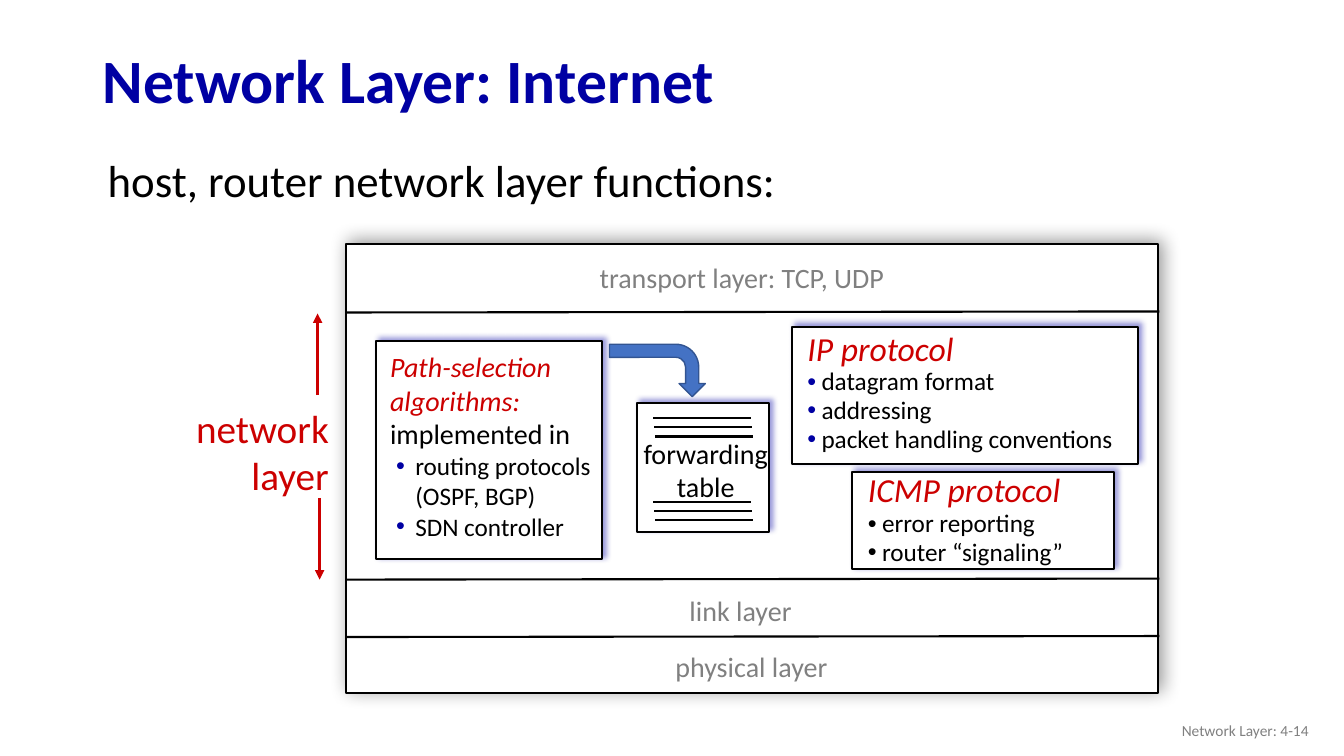
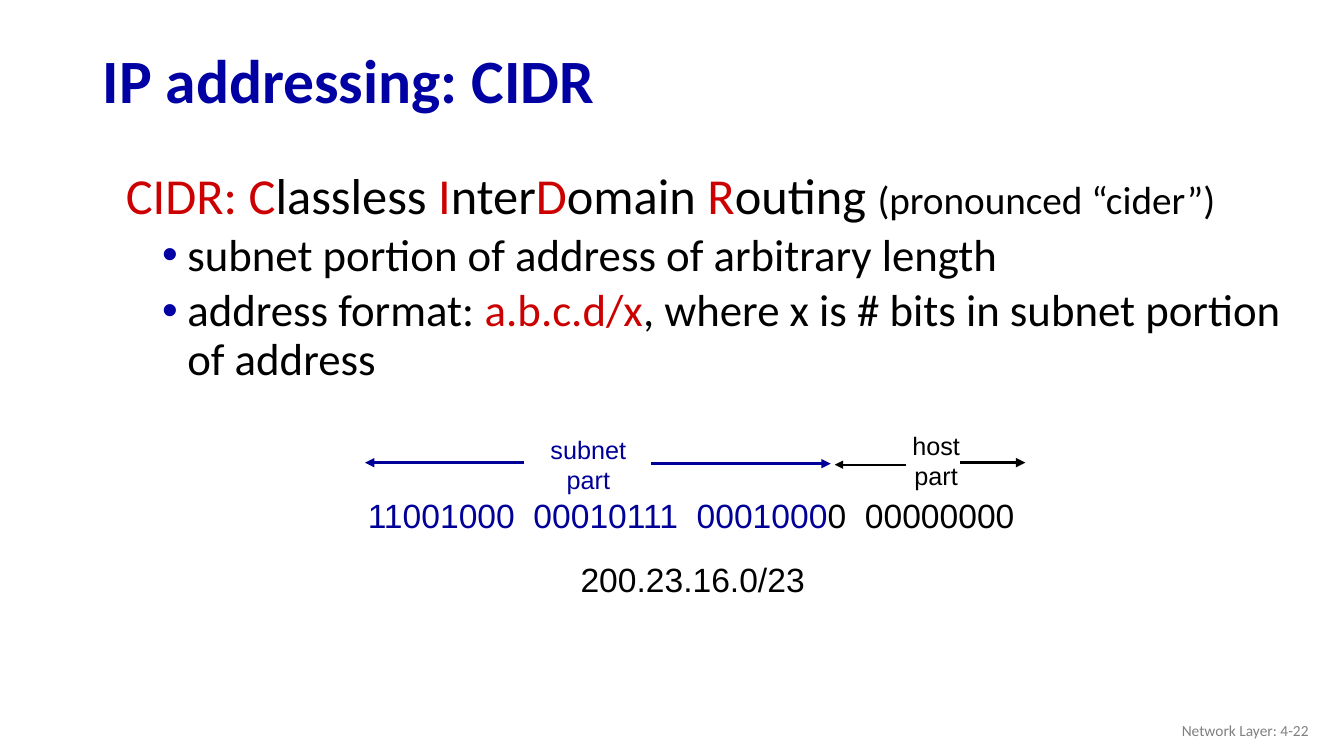
"""Build two slides on the Internet network layer and CIDR addressing."""
import collections

import lxml.etree
import pptx
import pptx.dml.color
import pptx.enum.shapes
import pptx.enum.text
import pptx.oxml.ns
import pptx.util

Inches = pptx.util.Inches
Pt = pptx.util.Pt
RGBColor = pptx.dml.color.RGBColor
Align = pptx.enum.text.PP_ALIGN
Anchor = pptx.enum.text.MSO_ANCHOR
Preset = pptx.enum.shapes.MSO_SHAPE
qn = pptx.oxml.ns.qn

BLACK = RGBColor(0x00, 0x00, 0x00)
WHITE = RGBColor(0xFF, 0xFF, 0xFF)
GRAY = RGBColor(0x80, 0x80, 0x80)
RED = RGBColor(0xCC, 0x00, 0x00)
NAVY = RGBColor(0x00, 0x00, 0xA3)
ADDRESS_BLUE = RGBColor(0x00, 0x00, 0x99)
ARROW_FILL = RGBColor(0x44, 0x72, 0xC4)
ARROW_EDGE = RGBColor(0x32, 0x54, 0x91)

Run = collections.namedtuple("Run", "text size color italic", defaults=(BLACK, False))
Paragraph = collections.namedtuple(
    "Paragraph", "runs align spacing before left hanging bullet",
    defaults=(Align.LEFT, None, None, 0, 0, None))


def add_xml(parent, tag, **attributes):
    return lxml.etree.SubElement(parent, qn(tag), attributes)


class Deck:
    font = "Calibri"

    def __init__(self):
        self.presentation = pptx.Presentation()
        self.presentation.slide_width = Inches(13.33)
        self.presentation.slide_height = Inches(7.5)
        self.slide = None

    def new_slide(self, title, number):
        self.slide = self.presentation.slides.add_slide(self.presentation.slide_layouts[6])
        heading = self.text(0.92, 0.34, 11.5, 0.98,
                            [Paragraph([Run(title, 44, NAVY)], spacing=0.9)], anchor=Anchor.MIDDLE)
        heading.text_frame.paragraphs[0].runs[0].font.bold = True
        self.text(10.08, 7.05, 3, 0.4,
                  [Paragraph([Run(f"Network Layer: {number}", 11, GRAY)], Align.RIGHT)],
                  anchor=Anchor.MIDDLE)

    def text(self, left, top, width, height, paragraphs, wrap=True, anchor=Anchor.TOP, font=None):
        shape = self.slide.shapes.add_textbox(
            Inches(left), Inches(top), Inches(width), Inches(height))
        frame = shape.text_frame
        frame.word_wrap = wrap
        frame.vertical_anchor = anchor
        for index, content in enumerate(paragraphs):
            paragraph = frame.add_paragraph() if index else frame.paragraphs[0]
            self.fill_paragraph(paragraph, content, font or self.font)
        return shape

    def fill_paragraph(self, paragraph, content, font):
        paragraph.alignment = content.align
        if content.spacing:
            paragraph.line_spacing = content.spacing
        if content.before:
            paragraph.space_before = Pt(content.before)
        properties = paragraph._p.get_or_add_pPr()
        properties.set("marL", str(Inches(content.left)))
        properties.set("indent", str(-Inches(content.hanging)))
        if content.bullet is not None:
            color = add_xml(properties, "a:buClr")
            add_xml(color, "a:srgbClr", val=str(content.bullet))
            add_xml(properties, "a:buFont", typeface="Arial")
            add_xml(properties, "a:buChar", char="•")
        for piece in content.runs:
            run = paragraph.add_run()
            run.text = piece.text
            run.font.name = font
            run.font.size = Pt(piece.size)
            run.font.color.rgb = piece.color
            run.font.italic = piece.italic

    def label(self, left, top, width, height, lines, size, color, align=Align.LEFT, font=None):
        paragraphs = [Paragraph([Run(line, size, color)], align) for line in lines]
        self.text(left, top, width, height, paragraphs, wrap=False, font=font)

    def shape(self, preset, left, top, width, height, fill, edge, weight):
        shape = self.slide.shapes.add_shape(
            preset, Inches(left), Inches(top), Inches(width), Inches(height))
        shape.shadow.inherit = False
        shape.fill.solid()
        shape.fill.fore_color.rgb = fill
        shape.line.color.rgb = edge
        shape.line.width = Pt(weight)
        return shape

    def panel(self, left, top, width, height, glow=NAVY, blur=4):
        shape = self.shape(Preset.RECTANGLE, left, top, width, height, WHITE, BLACK, 1.5)
        effects = shape._element.spPr.find(qn("a:effectLst"))
        shadow = add_xml(effects, "a:outerShdw", blurRad=str(Pt(blur)), dist=str(Pt(3)),
                         dir=str(315 * 60000), algn="bl", rotWithShape="0")
        color = add_xml(shadow, "a:srgbClr", val=str(glow))
        add_xml(color, "a:alpha", val="40000")

    def line(self, start, end, color=BLACK, weight=1.5, arrow=False):
        connector = self.slide.shapes.add_connector(
            pptx.enum.shapes.MSO_CONNECTOR.STRAIGHT, *map(Inches, start + end))
        connector.line.color.rgb = color
        connector.line.width = Pt(weight)
        if arrow:
            add_xml(connector.line._get_or_add_ln(), "a:tailEnd", type="triangle")
        add_xml(connector._element.spPr, "a:effectLst")


def protocol_text(name, facts, bullet, heading_spacing=None):
    heading = Paragraph([Run(name, 24, RED, True)], spacing=heading_spacing)
    return [heading] + [
        Paragraph([Run(fact, 18)], spacing=0.95, left=0.14, hanging=0.14, bullet=bullet)
        for fact in facts]


def build_network_layer(deck):
    deck.new_slide("Network Layer: Internet", "4-14")
    deck.text(0.97, 1.55, 8.24, 0.48,
              [Paragraph([Run("host, router network layer functions:", 32)], spacing=0.85)])

    deck.panel(3.43, 2.42, 8.06, 4.46, BLACK, 13)
    for boundary in (3.1, 5.75, 6.32):
        deck.line((3.44, boundary), (11.5, boundary - 0.01))
    for name, left, top, width in (("transport layer: TCP, UDP", 5.85, 2.54, 3.1),
                                   ("link layer", 6.74, 5.84, 1.23),
                                   ("physical layer", 6.6, 6.39, 1.74)):
        deck.label(left, top, width, 0.44, [name], 20, GRAY)

    deck.label(1.82, 3.96, 1.54, 1.04, ["network", "layer"], 28, RED, Align.RIGHT)
    deck.line((3.15, 3.92), (3.15, 3.11), RED, 2.25, arrow=True)
    deck.line((3.17, 4.94), (3.17, 5.75), RED, 2.25, arrow=True)

    deck.panel(7.86, 3.24, 3.43, 1.36)
    deck.text(7.91, 3.2, 3.33, 1.37, protocol_text(
        "IP protocol", ["datagram format", "addressing", "packet handling conventions"], NAVY),
        wrap=False)
    deck.panel(8.45, 4.68, 2.6, 0.97)
    deck.text(8.51, 4.63, 2.69, 1.06, protocol_text(
        "ICMP protocol", ["error reporting", "router “signaling”"], BLACK, 0.95))

    deck.panel(6.32, 4, 1.31, 1.28)
    deck.label(6.27, 4.28, 1.46, 0.77, ["forwarding", "table"], 20, BLACK, Align.CENTER)
    for first_row in (4.15, 4.98):
        for row in range(3):
            left = 6.48 + row * 0.01
            top = first_row + row * 0.09
            deck.line((left, top), (left + 0.97, top))

    deck.panel(3.73, 3.38, 2.24, 2.17)
    methods = [Paragraph([Run(method, 18)], left=0.25, hanging=0.19, bullet=NAVY)
               for method in ("routing protocols (OSPF, BGP)", "SDN controller")]
    deck.text(3.77, 3.42, 2.32, 2.02, [
        Paragraph([Run("Path-selection algorithms: ", 20, RED, True), Run("implemented in", 20)]),
        *methods])
    arrow = deck.shape(Preset.BENT_ARROW, 6.26, 3.2, 0.52, 0.95, ARROW_FILL, ARROW_EDGE, 1)
    arrow.rotation = 90


def build_cidr(deck):
    deck.new_slide("IP addressing: CIDR", "4-22")
    expansion = [Run(text, 36, color) for text, color in (
        ("CIDR: C", RED), ("lassless ", BLACK), ("I", RED), ("nter", BLACK),
        ("D", RED), ("omain ", BLACK), ("R", RED), ("outing ", BLACK))]
    expansion.append(Run("(pronounced “cider”)", 28))
    points = [
        [Run("subnet portion of address of arbitrary length", 32)],
        [Run("address format: ", 32), Run("a.b.c.d/x", 32, RED),
         Run(", where x is # bits in subnet portion of address", 32)]]
    deck.text(1, 1.65, 12.13, 2.27, [
        Paragraph(expansion, spacing=0.9, before=10, left=0.15),
        *(Paragraph(runs, spacing=0.9, before=5, left=0.76, hanging=0.25, bullet=NAVY)
          for runs in points)])

    deck.text(3.55, 4.86, 6.7, 0.5, [Paragraph([
        Run("11001000  00010111  0001000", 24, ADDRESS_BLUE), Run("0  00000000", 24)])],
        wrap=False, font="Arial")
    deck.label(5.36, 4.26, 0.95, 0.7, ["subnet", "part"], 18, ADDRESS_BLUE, Align.CENTER, "Arial")
    deck.label(8.95, 4.22, 0.67, 0.7, ["host", "part"], 18, BLACK, Align.CENTER, "Arial")
    deck.label(5.66, 5.5, 2.43, 0.5, ["200.23.16.0/23"], 24, BLACK, font="Arial")
    for start, end, top, color, weight in ((5.2, 3.62, 4.59, ADDRESS_BLUE, 2.25),
                                           (6.46, 8.24, 4.6, ADDRESS_BLUE, 2.25),
                                           (8.99, 8.28, 4.61, BLACK, 1.5),
                                           (9.52, 10.17, 4.59, BLACK, 2.25)):
        deck.line((start, top), (end, top), color, weight, arrow=True)


def main():
    deck = Deck()
    build_network_layer(deck)
    build_cidr(deck)
    deck.presentation.save("out.pptx")


if __name__ == "__main__":
    main()
